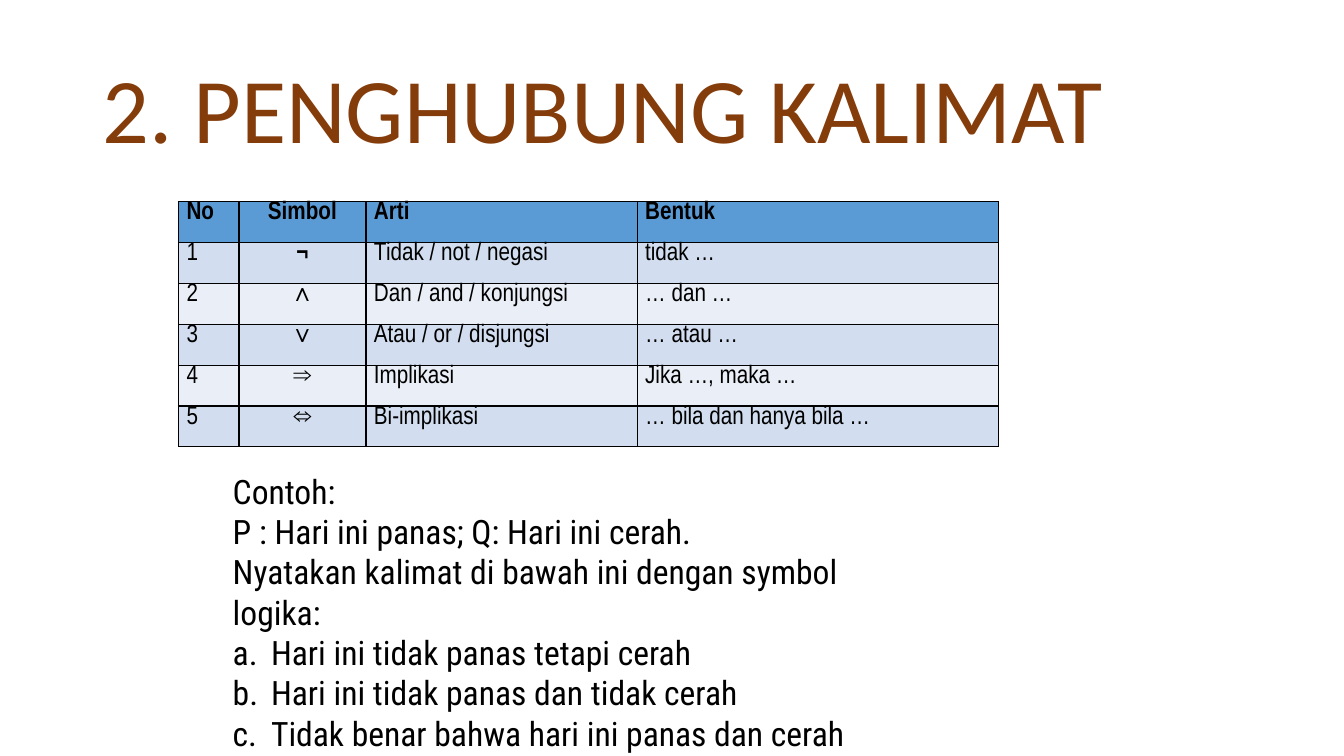
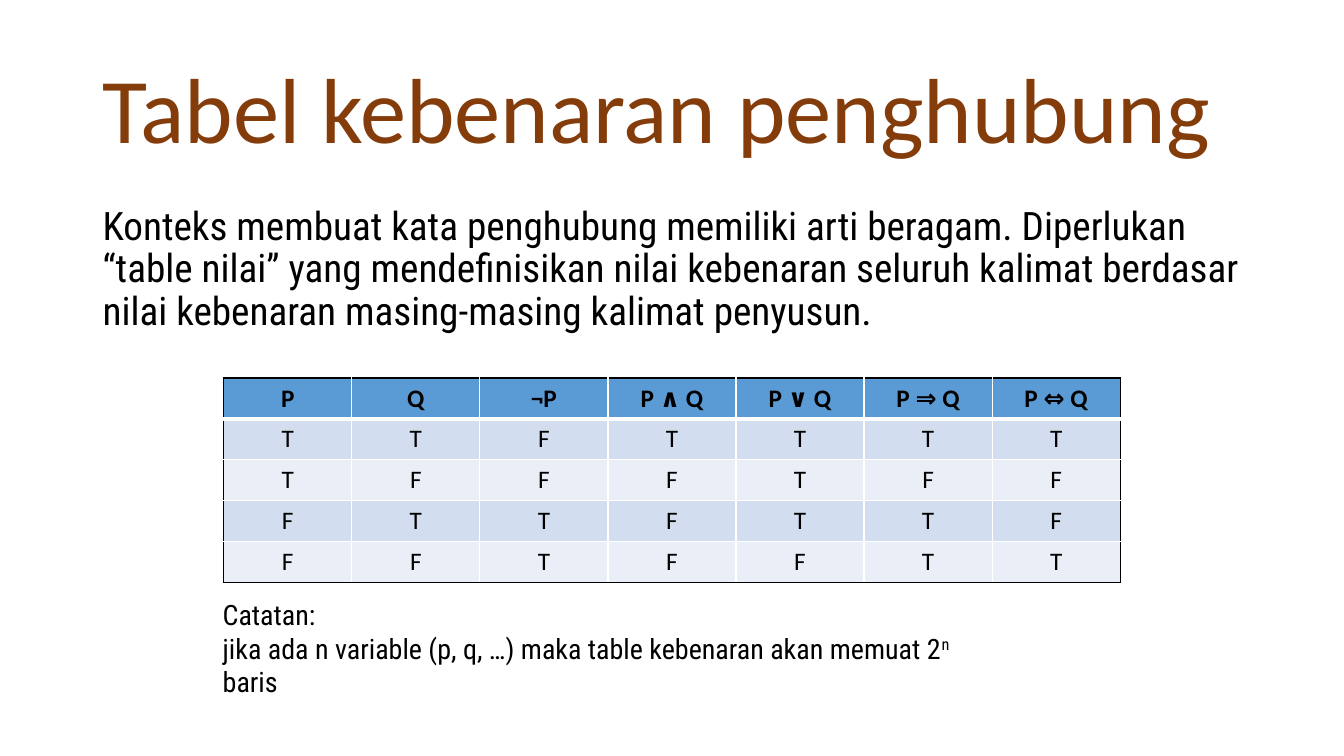
from lxml import etree
from pptx import Presentation, util as u
from pptx.dml.color import RGBColor
from pptx.enum import text
from pptx.oxml import ns

BLACK, WHITE, BROWN = "000000", "FFFFFF", "843C0B"
HEAD, BANDS = "5B9BD5", ("D2DEEF", "EAEFF7")
BODY_FONT = "Roboto Condensed"
LEFT, CENTER = text.PP_ALIGN.LEFT, text.PP_ALIGN.CENTER


def rgb(code):
    return RGBColor.from_string(code)


def add_xml(parent, tag, **attrs):
    return etree.SubElement(parent, ns.qn(tag), attrs)


class Deck:
    """Holds the style and the current slide; lengths are percent of the slide."""

    ROW = 5.41  # height of every table row

    def __init__(self):
        self.prs = Presentation()
        self.prs.slide_width, self.prs.slide_height = u.Inches(13.33), u.Inches(7.5)

    def x(self, share):
        return int(self.prs.slide_width * share / 100)

    def y(self, share):
        return int(self.prs.slide_height * share / 100)

    def slide(self, title):
        self.s = self.prs.slides.add_slide(self.prs.slide_layouts[6])
        tf = self.text((6.9, 5.33, 86.25, 19.33), [title], size=66,
                       name="Calibri", color=BROWN, spacing=0.9)
        tf.vertical_anchor = text.MSO_ANCHOR.MIDDLE

    def add_runs(self, p, value, size, name, color=BLACK, bold=False):
        """Fill a paragraph; '^' splits off a raised run from its neighbours."""
        style = {"size": u.Pt(size), "name": name, "bold": bold}
        for i, part in enumerate(value.split("^")):
            r = p.add_run()
            r.text = part
            for key, val in style.items():
                setattr(r.font, key, val)
            r.font.color.rgb = rgb(color)
            if i % 2:
                r._r.get_or_add_rPr().set("baseline", "30000")

    def text(self, at, lines, size, name=BODY_FONT, color=BLACK, spacing=None,
             lettered=()):
        left, top, width, height = at
        sp = self.s.shapes.add_textbox(self.x(left), self.y(top),
                                       self.x(width), self.y(height))
        tf = sp.text_frame
        tf.word_wrap = True
        for i, line in enumerate([*lines, *lettered]):
            p = tf.add_paragraph() if i else tf.paragraphs[0]
            p.line_spacing = spacing
            if i >= len(lines):
                pPr = p._p.get_or_add_pPr()
                pPr.set("marL", str(u.Inches(0.38)))
                pPr.set("indent", str(-u.Inches(0.38)))
                add_xml(pPr, "a:buFont", typeface="+mj-lt")
                add_xml(pPr, "a:buAutoNum", type="alphaLcPeriod")
            self.add_runs(p, line, size, name, color)
        return tf

    def border(self, cell, side, color, width):
        ln = add_xml(cell._tc.get_or_add_tcPr(), "a:ln" + side,
                     w=str(u.Pt(width)))
        add_xml(add_xml(ln, "a:solidFill"), "a:srgbClr", val=color)

    def table(self, left, top, widths, rows, name, centered, bold=(),
              inner=BLACK, head_line=1, margins=None):
        """Banded table; centered and bold list column numbers."""
        tb = self.s.shapes.add_table(
            len(rows), len(widths), self.x(left), self.y(top),
            self.x(sum(widths)), self.y(self.ROW * len(rows))).table
        tb.first_row = tb.horz_banding = False
        for col, width in zip(tb.columns, widths):
            col.width = self.x(width)
        last_row, last_col = len(rows) - 1, len(widths) - 1
        for i, row in enumerate(rows):
            tb.rows[i].height = self.y(self.ROW)
            for j, value in enumerate(row):
                cell = tb.cell(i, j)
                for key, val in (margins or {}).items():
                    setattr(cell, "margin_" + key, u.Inches(val))
                # Outer edges are black; the line under the head may be thicker
                edges = {"L": (j == 0, 1), "R": (j == last_col, 1),
                         "T": (i == 0, head_line if i == 1 else 1),
                         "B": (i == last_row, head_line if i == 0 else 1)}
                for side, (outer, width) in edges.items():
                    self.border(cell, side, BLACK if outer else inner, width)
                cell.fill.solid()
                cell.fill.fore_color.rgb = rgb(BANDS[(i - 1) % 2] if i else HEAD)
                p = cell.text_frame.paragraphs[0]
                p.alignment = CENTER if j in centered else LEFT
                self.add_runs(p, value, 18, name, bold=i == 0 or j in bold)


def main():
    deck = Deck()

    # Connectives and exercise
    deck.slide("2. PENGHUBUNG KALIMAT")
    deck.table(13.28, 26.67, (4.5, 9.45, 20.18, 26.86), [
        ("No", "Simbol", "Arti", "Bentuk"),
        ("1", "¬", "Tidak / not / negasi", "tidak …"),
        ("2", "∧", "Dan / and / konjungsi", "… dan …"),
        ("3", "∨", "Atau / or / disjungsi", "… atau …"),
        ("4", "⇒", "Implikasi", "Jika …, maka …"),
        ("5", "⇔", "Bi-implikasi", "… bila dan hanya bila …"),
    ], "Arial Narrow", centered=(1,), bold=(1,),
        margins={"left": 0.08, "right": 0.08, "top": 0, "bottom": 0})
    deck.text((16.58, 61.6, 52.2, 33.6), [
        "Contoh:",
        "P : Hari ini panas; Q: Hari ini cerah.",
        "Nyatakan kalimat di bawah ini dengan symbol logika:",
    ], size=24, lettered=[
        "Hari ini tidak panas tetapi cerah",
        "Hari ini tidak panas dan tidak cerah",
        "Tidak benar bahwa hari ini panas dan cerah",
    ])

    # Truth table
    deck.slide("Tabel kebenaran penghubung")
    deck.text((6.9, 26.67, 86.25, 63.47), [
        "Konteks membuat kata penghubung memiliki arti beragam. Diperlukan "
        "“table nilai” yang mendefinisikan nilai kebenaran seluruh kalimat "
        "berdasar nilai kebenaran masing-masing kalimat penyusun.",
    ], size=28, spacing=0.9)
    heads = ("P", "Q", "¬P", "P ∧ Q", "P ∨ Q", "P ⇒ Q", "P ⇔ Q")
    values = ("TTFTTTT", "TFFFTFF", "FTTFTTF", "FFTFFTT")
    deck.table(16.65, 50, [9.53] * len(heads), [heads, *values], "Calibri",
               centered=range(len(heads)), inner=WHITE, head_line=3)
    deck.text((15.83, 78.4, 58.28, 10.27), [
        "Catatan:",
        "jika ada n variable (p, q, …) maka table kebenaran akan memuat 2^n^ baris",
    ], size=20)

    deck.prs.save("out.pptx")


if __name__ == "__main__":
    main()
